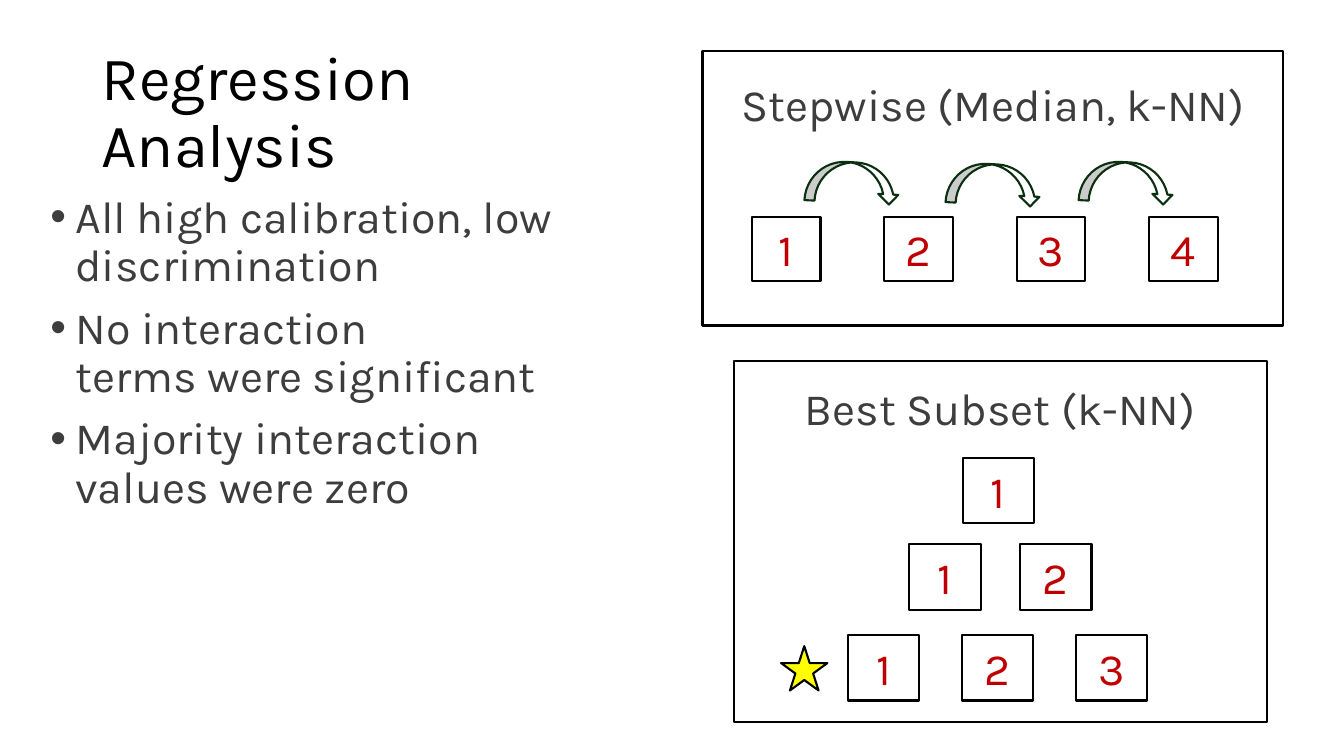
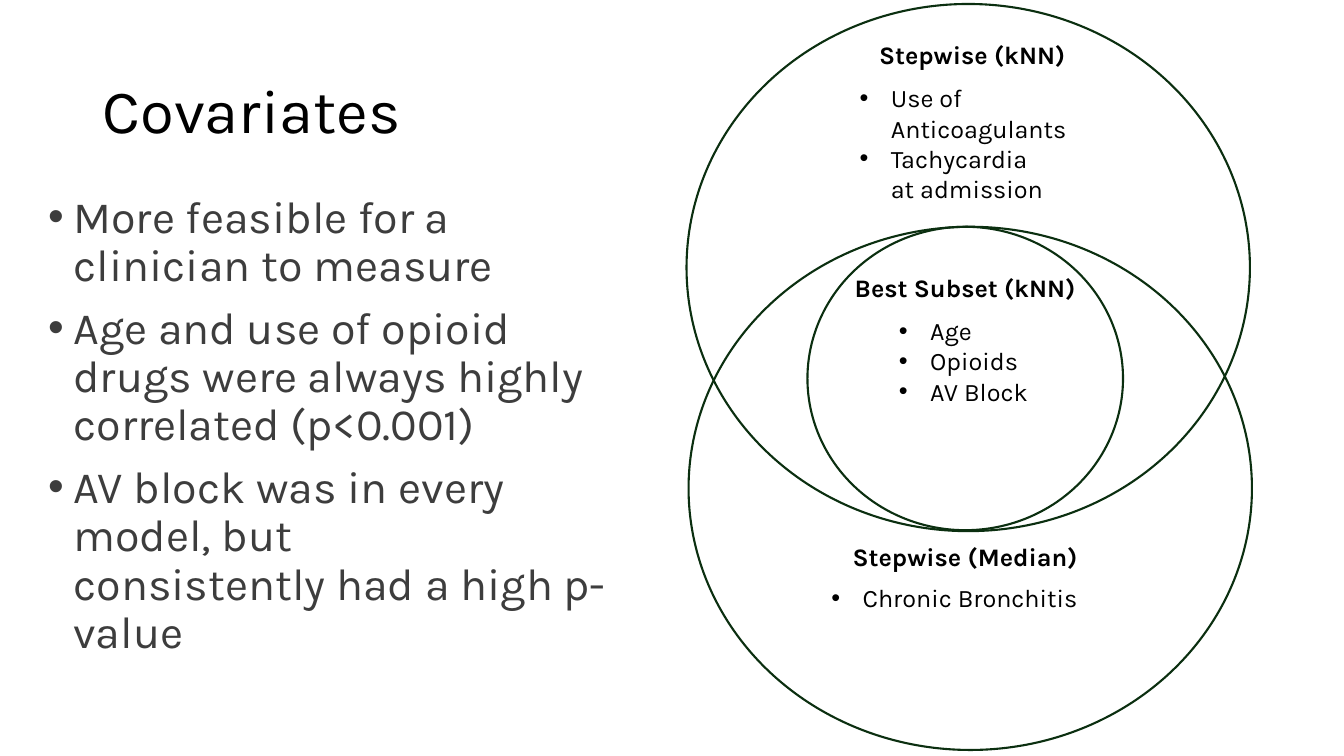
from lxml.etree import SubElement
from pptx import Presentation
from pptx.dml.color import RGBColor
from pptx.enum.shapes import MSO_SHAPE as Shape
from pptx.enum.text import MSO_ANCHOR as Anchor, PP_ALIGN as Align
from pptx.oxml.ns import qn
from pptx.util import Inches, Pt

WIDTH, HEIGHT = Inches(13.33), Inches(7.5)
FONT = "Karla"
WHITE, BLACK, GREY = "FFFFFF", "000000", "3D3D3D"
RED, GREEN, YELLOW = "C00000", "0B2F10", "FFFF00"
TITLE_SIZE, BODY_SIZE, LABEL_SIZE = 44, 32, 18
HARD_SPACE = chr(160)


def color(value):
    return RGBColor.from_string(value)


def place(left, top, width, height):
    """Turn percentages of the slide into lengths."""
    return (round(WIDTH * left / 100), round(HEIGHT * top / 100),
            round(WIDTH * width / 100), round(HEIGHT * height / 100))


def write(frame, lines, size, ink, align=Align.LEFT, bold=False):
    """Fill a frame, one paragraph a line; ~ stands for a hard space."""
    frame.word_wrap = True
    frame.text = "\n".join(lines).replace("~", HARD_SPACE)
    for para in frame.paragraphs:
        para.alignment = align
        for span in para.runs:
            span.font.name = FONT
            span.font.size = Pt(size)
            span.font.bold = bold
            span.font.color.rgb = color(ink)


def add_text(page, area, lines, size, ink, **style):
    box = page.shapes.add_textbox(*place(*area))
    write(box.text_frame, lines, size, ink, **style)
    return box.text_frame


def add_bullets(frame, indent):
    for para in frame.paragraphs:
        props = para._p.get_or_add_pPr()
        props.set("marL", str(Inches(indent)))
        props.set("indent", str(-Inches(indent)))
        SubElement(props, qn("a:buFont")).set("typeface", "Arial")
        SubElement(props, qn("a:buChar")).set("char", "•")


def add_title(page, left, width, text):
    frame = add_text(page, (left, 5.33, width, 19.47), [text], TITLE_SIZE, BLACK)
    frame.vertical_anchor = Anchor.MIDDLE
    frame.paragraphs[0].line_spacing = 0.9


def add_body(page, left, width, lines):
    frame = add_text(page, (left, 25.07, width, 63.5), lines, BODY_SIZE, GREY)
    for para in frame.paragraphs:
        para.line_spacing = 0.9
        para.space_before = Pt(10)
    add_bullets(frame, 0.25)


def add_heading(page, area, text, size=BODY_SIZE, ink=GREY, bold=False):
    add_text(page, area, [text], size, ink, align=Align.CENTER, bold=bold)


def add_figure(page, kind, area, fill=WHITE, line=BLACK):
    figure = page.shapes.add_shape(kind, *place(*area))
    figure.shadow.inherit = False
    if fill:
        figure.fill.solid()
        figure.fill.fore_color.rgb = color(fill)
    else:
        figure.fill.background()
    figure.line.color.rgb = color(line)
    figure.line.width = Pt(1.5)
    return figure


def add_number_row(page, count, left, pitch, top, size):
    """Draw boxes numbered from 1, their left edges one pitch apart."""
    for index in range(count):
        box = add_figure(page, Shape.RECTANGLE, (left + index * pitch, top, *size))
        write(box.text_frame, [str(index + 1)], BODY_SIZE, RED, align=Align.CENTER)
        box.text_frame.vertical_anchor = Anchor.MIDDLE


def add_stepwise_panel(page):
    add_figure(page, Shape.RECTANGLE, (52.27, 6.8, 43.2, 36.27))
    add_heading(page, (54.22, 9.47, 39.38, 8.53), "Stepwise~(Median,~k-NN)")
    add_number_row(page, 4, 55.95, 9.85, 28.67, (5.1, 8.53))
    for left, top in ((61.95, 17.87), (72.45, 18.13), (82.35, 17.87)):
        arrow = add_figure(page, Shape.CURVED_LEFT_ARROW, (left, top, 3, 12.53), line=GREEN)
        arrow.rotation = 273


def add_subset_panel(page):
    add_figure(page, Shape.RECTANGLE, (54.6, 47.73, 39.68, 47.73))
    add_heading(page, (55.88, 49.73, 37.12, 8.53), "Best Subset~(k-NN)")
    rows = ((71.62, 0, 60.53), (67.65, 8.25, 72), (63.08, 8.48, 84))
    for count, (left, pitch, top) in enumerate(rows, 1):
        add_number_row(page, count, left, pitch, top, (5.32, 8.67))
    add_figure(page, Shape.STAR_5_POINT, (58.12, 85.47, 3.45, 5.87), fill=YELLOW)


def add_venn(page):
    circles = (
        ((51.08, 0.53, 41.92, 69.73), WHITE),
        ((60.08, 30, 23.48, 40.13), None),
        ((51.23, 30, 41.92, 69.2), None),
    )
    for area, fill in circles:
        add_figure(page, Shape.OVAL, area, fill, GREEN)
    groups = (
        ("Stepwise~(kNN)", (61.58, 4.53, 21.52, 5.33),
         ["Use of Anticoagulants", "Tachycardia at~admission"], (63.22, 10.27, 17.7, 21.6)),
        ("Best~Subset~(kNN)", (60.6, 35.33, 22.42, 5.33),
         ["Age", "Opioids", "AV Block"], (66.15, 41.07, 11.4, 21.6)),
        ("Stepwise (Median)", (60.6, 70.93, 22.42, 5.33),
         ["Chronic~Bronchitis"], (61.12, 76.4, 22.5, 5.33)),
    )
    for heading, heading_area, items, items_area in groups:
        add_heading(page, heading_area, heading, LABEL_SIZE, BLACK, bold=True)
        add_bullets(add_text(page, items_area, items, LABEL_SIZE, BLACK), 0.31)


def build_regression(page):
    add_title(page, 6.82, 38.85, "Regression Analysis")
    add_body(page, 3, 41.92, [
        "All high calibration, low discrimination",
        "No interaction terms~were~significant",
        "Majority~interaction values were~zero",
    ])
    add_stepwise_panel(page)
    add_subset_panel(page)


def build_covariates(page):
    add_title(page, 6.9, 35.25, "Covariates")
    add_body(page, 2.85, 43.95, [
        "More feasible~for~a clinician to measure",
        "Age and use of~opioid drugs were always highly correlated (p<0.001)",
        "AV block~was in every model, but consistently~had a high p-value",
    ])
    add_venn(page)


def main():
    deck = Presentation()
    deck.slide_width, deck.slide_height = WIDTH, HEIGHT
    for build in (build_regression, build_covariates):
        build(deck.slides.add_slide(deck.slide_layouts[6]))
    deck.save("out.pptx")


if __name__ == "__main__":
    main()
